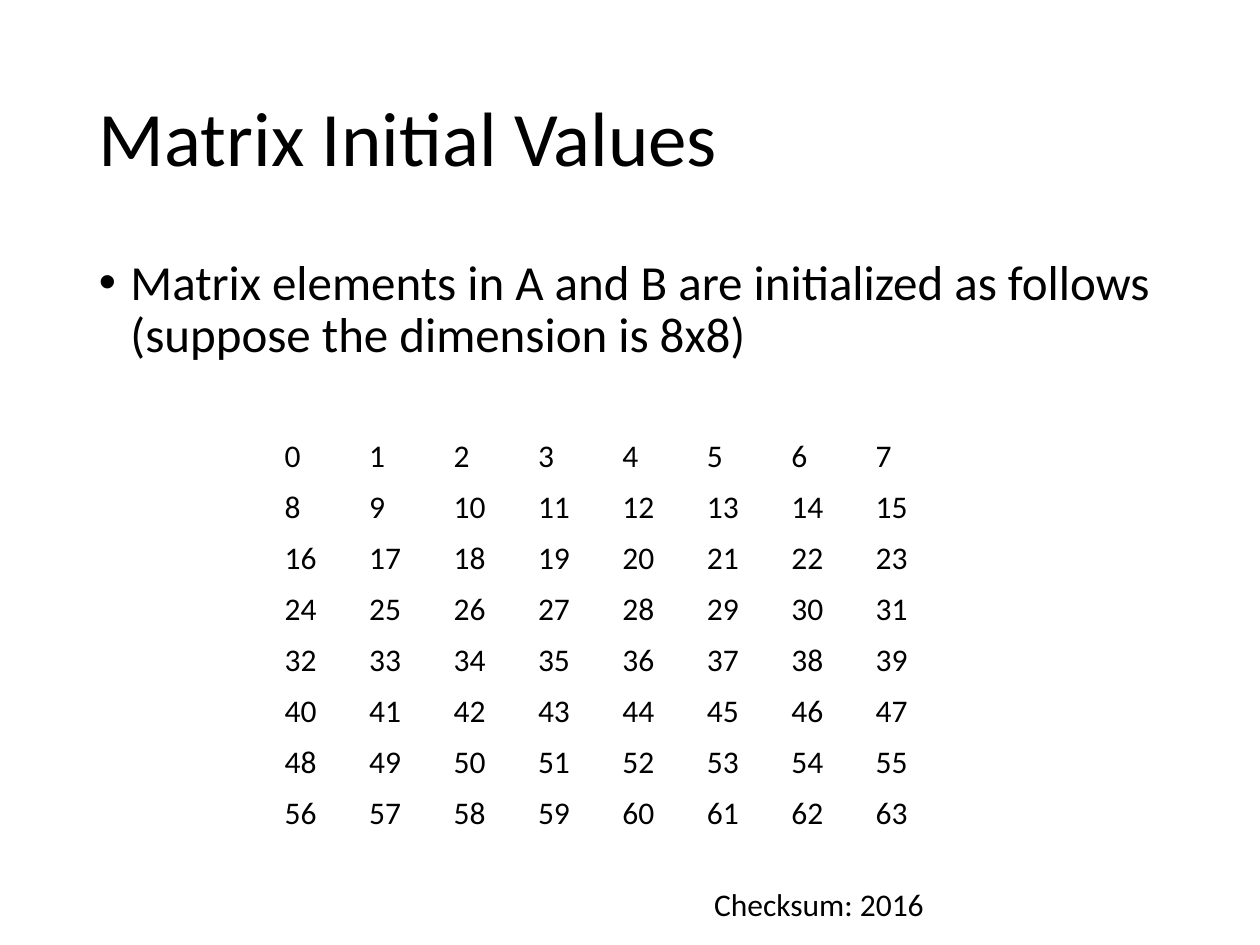
import lxml.etree
import pptx
import pptx.dml.color
import pptx.enum.text
import pptx.oxml.ns
import pptx.util

Pt = pptx.util.Pt
FONT = "Calibri"
COLORS = {"text": "000000", "page": "FFFFFF"}
DIMENSION = 8
COLUMN_WIDTH = 48.25
ROW_HEIGHT = 29.2


def add_span(para, text, size):
    span = para.add_run()
    span.text = text
    span.font.name = FONT
    span.font.size = Pt(size)
    span.font.color.rgb = pptx.dml.color.RGBColor.from_string(COLORS["text"])


def add_text(page, bounds, text, size, wrap=True, middle=False):
    box = page.shapes.add_textbox(*map(Pt, bounds))
    frame = box.text_frame
    frame.word_wrap = wrap
    if middle:
        frame.vertical_anchor = pptx.enum.text.MSO_ANCHOR.MIDDLE
    para = frame.paragraphs[0]
    add_span(para, text, size)
    return para


def add_bullet(para, indent):
    properties = para._p.get_or_add_pPr()
    properties.set("marL", str(Pt(indent)))
    properties.set("indent", str(-Pt(indent)))
    qn = pptx.oxml.ns.qn
    lxml.etree.SubElement(properties, qn("a:buFont"), typeface="Arial")
    lxml.etree.SubElement(properties, qn("a:buChar"), char="•")


def add_matrix(page, left, top):
    width, height = DIMENSION * COLUMN_WIDTH, DIMENSION * ROW_HEIGHT
    table = page.shapes.add_table(
        DIMENSION, DIMENSION, Pt(left), Pt(top), Pt(width), Pt(height)
    ).table
    table.first_row = False
    table.horz_banding = False
    for column in table.columns:
        column.width = Pt(COLUMN_WIDTH)
    for row in table.rows:
        row.height = Pt(ROW_HEIGHT)
    for value, cell in enumerate(table.iter_cells()):
        cell.fill.background()
        add_span(cell.text_frame.paragraphs[0], str(value), 18)


def main():
    deck = pptx.Presentation()
    deck.slide_width, deck.slide_height = Pt(720), Pt(540)
    page = deck.slides.add_slide(deck.slide_layouts[6])
    page.background.fill.solid()
    page.background.fill.fore_color.rgb = pptx.dml.color.RGBColor.from_string(COLORS["page"])

    title = add_text(page, (49.5, 28.75, 621, 104.4), "Matrix Initial Values", 44, middle=True)
    title.line_spacing = 0.9

    body = add_text(
        page, (49.5, 143.75, 621, 91.5),
        "Matrix elements in A and B are initialized as follows (suppose the dimension is 8x8)", 28,
    )
    body.line_spacing = 0.9
    body.space_before = Pt(10)
    add_bullet(body, 18)

    add_matrix(page, 155.5, 246.25)
    checksum = sum(range(DIMENSION ** 2))
    add_text(page, (401, 502, 136, 29), f"Checksum: {checksum}", 18, wrap=False)
    deck.save("out.pptx")


if __name__ == "__main__":
    main()
